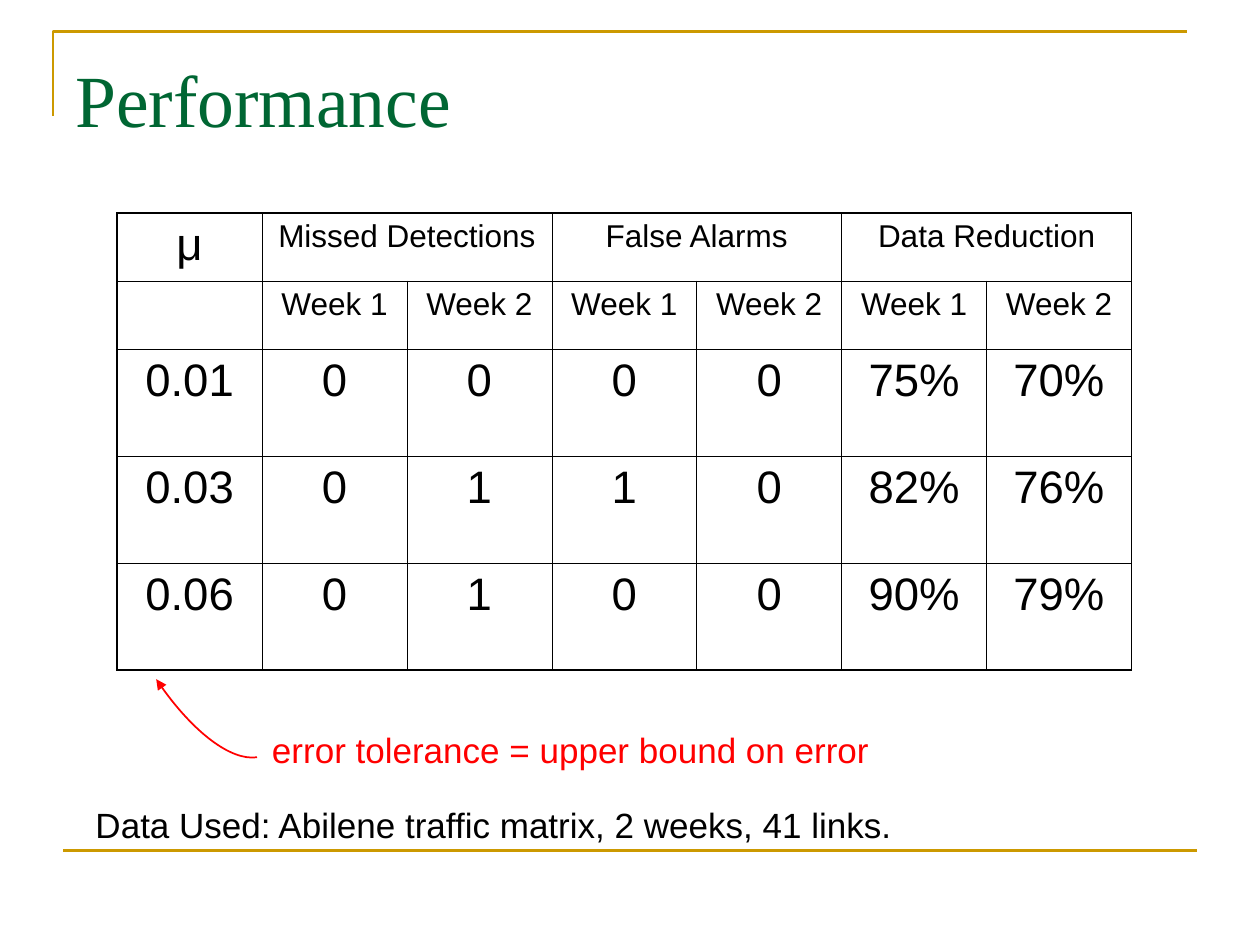
"""Build the performance slide with its table of detection results."""
from lxml import etree
from pptx import Presentation, util as u
from pptx.dml import color
from pptx.enum import shapes, text
from pptx.oxml import ns

GOLD, GREEN, BLACK, RED = "CC9900", "006633", "000000", "FF0000"
CENTER = text.PP_ALIGN.CENTER
MIDDLE = text.MSO_ANCHOR.MIDDLE

GROUPS = ["Missed Detections", "False Alarms", "Data Reduction"]
WEEKS = ["Week 1", "Week 2"]
RESULTS = [
    ["0.01", "0", "0", "0", "0", "75%", "70%"],
    ["0.03", "0", "1", "1", "0", "82%", "76%"],
    ["0.06", "0", "1", "0", "0", "90%", "79%"],
]
HEADER = ["μ"] + [label for group in GROUPS for label in (group, "")]
ROWS = [HEADER, [""] + WEEKS * len(GROUPS)] + RESULTS
ROW_HEIGHTS = [0.54, 0.54, 0.85, 0.85, 0.85]
COLUMN_WIDTH = 1.15
TABLE_LEFT, TABLE_TOP = 0.93, 1.69
INNER_BORDER, OUTER_BORDER = 0.45, 1.08

TITLE_RULE = [(0.42, 0.92), (0.42, 0.25), (9.42, 0.25)]
ARROW_CURVE = [(2.04, 6.01), (1.83, 6.04), (1.5, 5.78), (1.24, 5.39)]


def rgb(value):
    return color.RGBColor.from_string(value)


def write(frame, content, size=20, font="Arial", fill=BLACK, align=text.PP_ALIGN.LEFT):
    paragraph = frame.paragraphs[0]
    paragraph.alignment = align
    run = paragraph.add_run()
    run.text = content
    run.font.size = u.Pt(size)
    run.font.name = font
    run.font.color.rgb = rgb(fill)


def add_text(slide, box, content, wrap=True, anchor=text.MSO_ANCHOR.TOP, **style):
    frame = slide.shapes.add_textbox(*map(u.Inches, box)).text_frame
    frame.word_wrap = wrap
    frame.vertical_anchor = anchor
    write(frame, content, **style)


def set_line(shape, fill, width):
    shape.line.color.rgb = rgb(fill)
    shape.line.width = u.Pt(width)


def add_outline(slide, points, fill, width):
    start, *rest = [tuple(map(u.Inches, point)) for point in points]
    builder = slide.shapes.build_freeform(*start)
    builder.add_line_segments(rest, close=False)
    shape = builder.convert_to_shape()
    shape.fill.background()
    shape.shadow.inherit = False
    set_line(shape, fill, width)
    return shape


def add_curved_arrow(slide, points, fill, width):
    shape = add_outline(slide, points, fill, width)
    segments = list(shape.element.iter(ns.qn("a:lnTo")))
    curve = etree.SubElement(segments[0].getparent(), ns.qn("a:cubicBezTo"))
    for segment in segments:
        curve.append(segment[0])
        segment.getparent().remove(segment)
    outline = shape.element.spPr.find(ns.qn("a:ln"))
    etree.SubElement(outline, ns.qn("a:tailEnd"), type="triangle")


def add_rule(slide, start, end, fill, width):
    rule = slide.shapes.add_connector(
        shapes.MSO_CONNECTOR.STRAIGHT, *map(u.Inches, start + end))
    set_line(rule, fill, width)
    etree.SubElement(rule.element.spPr, ns.qn("a:effectLst"))


def set_borders(cell, outer_sides):
    properties = cell._tc.get_or_add_tcPr()
    for side in "LRTB":
        width = OUTER_BORDER if side in outer_sides else INNER_BORDER
        border = etree.SubElement(
            properties, ns.qn(f"a:ln{side}"), w=str(int(u.Pt(width))))
        solid = etree.SubElement(border, ns.qn("a:solidFill"))
        etree.SubElement(solid, ns.qn("a:srgbClr"), val=BLACK)


def add_results(slide):
    row_count, column_count = len(ROWS), len(HEADER)
    table = slide.shapes.add_table(
        row_count, column_count, u.Inches(TABLE_LEFT), u.Inches(TABLE_TOP),
        u.Inches(COLUMN_WIDTH * column_count), u.Inches(sum(ROW_HEIGHTS))).table
    table.first_row = table.horz_banding = False
    for column in table.columns:
        column.width = u.Inches(COLUMN_WIDTH)
    for row, height in zip(table.rows, ROW_HEIGHTS):
        row.height = u.Inches(height)
    for first in range(1, column_count, len(WEEKS)):
        table.cell(0, first).merge(table.cell(0, first + len(WEEKS) - 1))
    for row, values in enumerate(ROWS):
        for column, value in enumerate(values):
            cell = table.cell(row, column)
            edges = {
                "L": column == 0,
                "R": column + cell.span_width == column_count,
                "T": row == 0,
                "B": row == row_count - 1,
            }
            set_borders(cell, [side for side, outer in edges.items() if outer])
            cell.fill.background()
            if value:
                size = 26 if row > 1 or value == "μ" else 18
                write(cell.text_frame, value, size=size, align=CENTER)


def main():
    presentation = Presentation()
    presentation.slide_width, presentation.slide_height = u.Inches(10), u.Inches(7.5)
    slide = presentation.slides.add_slide(presentation.slide_layouts[6])
    add_outline(slide, TITLE_RULE, GOLD, 1.5)
    add_rule(slide, (0.5, 6.75), (9.5, 6.75), GOLD, 1.5)
    add_text(slide, (0.5, 0.3, 9, 0.95), "Performance", anchor=MIDDLE,
             size=42, font="Times New Roman", fill=GREEN)
    add_results(slide)
    add_text(slide, (0.66, 6.33, 8.46, 0.44),
             "Data Used: Abilene traffic matrix, 2 weeks, 41 links.")
    add_curved_arrow(slide, ARROW_CURVE, RED, 1)
    add_text(slide, (2.06, 5.73, 4.94, 0.44),
             "error tolerance = upper bound on error",
             wrap=False, fill=RED, align=CENTER)
    presentation.save("out.pptx")


if __name__ == "__main__":
    main()
